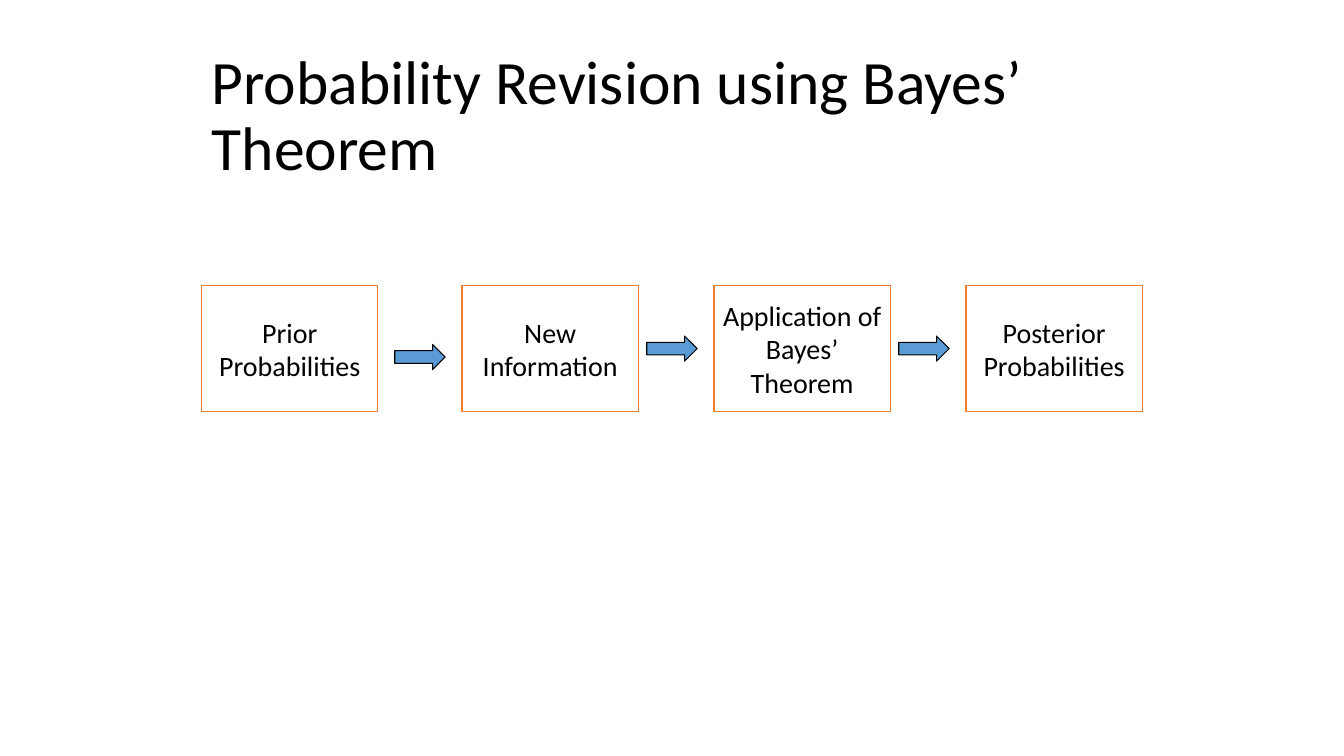
from dataclasses import dataclass

from pptx import Presentation
from pptx.dml.color import RGBColor
from pptx.enum.shapes import MSO_SHAPE as SHAPE
from pptx.enum.text import MSO_ANCHOR as ANCHOR, MSO_AUTO_SIZE as FIT, PP_ALIGN as ALIGN
from pptx.util import Pt

PX = 9525
COLORS = {"text": "000000", "border": "ED7D31", "arrow": "5B9BD5", "outline": "000000"}
BOX_TOP, BOX_W, BOX_H = 272, 168, 120
ARROW_W, ARROW_H = 48, 24
FRAME = {"vertical_anchor": ANCHOR.MIDDLE, "auto_size": FIT.NONE}


@dataclass
class Step:
    left: int
    lines: list[str]


@dataclass
class Arrow:
    left: int
    top: int


STEPS = [
    Step(192, ["Prior", "Probabilities"]),
    Step(440, ["New", "Information"]),
    Step(680, ["Application of", "Bayes’", "Theorem"]),
    Step(920, ["Posterior", "Probabilities"]),
]
ARROWS = [Arrow(376, 328), Arrow(616, 320), Arrow(856, 320)]


def px(n: int) -> int:
    return n * PX


def rgb(name: str) -> RGBColor:
    return RGBColor.from_string(COLORS[name])


def apply(obj, values: dict) -> None:
    for name, value in values.items():
        setattr(obj, name, value)


def write(tf, lines: list[str], size: int, frame: dict, para: dict) -> None:
    apply(tf, FRAME | frame)
    for i, line in enumerate(lines):
        p = tf.paragraphs[0] if i == 0 else tf.add_paragraph()
        apply(p, para)
        r = p.add_run()
        r.text = line
        apply(r.font, {"size": Pt(size), "name": "Calibri"})
        r.font.color.rgb = rgb("text")


def add_outlined(slide, kind, left: int, top: int, width: int, height: int, line: str):
    sp = slide.shapes.add_shape(kind, px(left), px(top), px(width), px(height))
    sp.shadow.inherit = False
    sp.line.color.rgb = rgb(line)
    sp.line.width = Pt(0.75)
    return sp


def add_title(slide, text: str) -> None:
    title = slide.shapes.title
    apply(title, {"left": px(192), "top": px(32), "width": px(928), "height": px(160)})
    write(title.text_frame, [text], 44, {"word_wrap": True},
          {"alignment": ALIGN.LEFT, "line_spacing": 0.9})


def add_step(slide, step: Step) -> None:
    sp = add_outlined(slide, SHAPE.RECTANGLE, step.left, BOX_TOP, BOX_W, BOX_H, "border")
    sp.fill.background()
    write(sp.text_frame, step.lines, 20, {"word_wrap": False}, {"alignment": ALIGN.CENTER})


def add_arrow(slide, arrow: Arrow) -> None:
    sp = add_outlined(slide, SHAPE.RIGHT_ARROW, arrow.left, arrow.top, ARROW_W, ARROW_H, "outline")
    sp.fill.solid()
    sp.fill.fore_color.rgb = rgb("arrow")


def main() -> None:
    prs = Presentation()
    apply(prs, {"slide_width": px(1280), "slide_height": px(720)})
    slide = prs.slides.add_slide(prs.slide_layouts[5])
    add_title(slide, "Probability Revision using Bayes’ Theorem")
    for step in STEPS:
        add_step(slide, step)
    for arrow in ARROWS:
        add_arrow(slide, arrow)
    prs.save("out.pptx")


if __name__ == "__main__":
    main()
